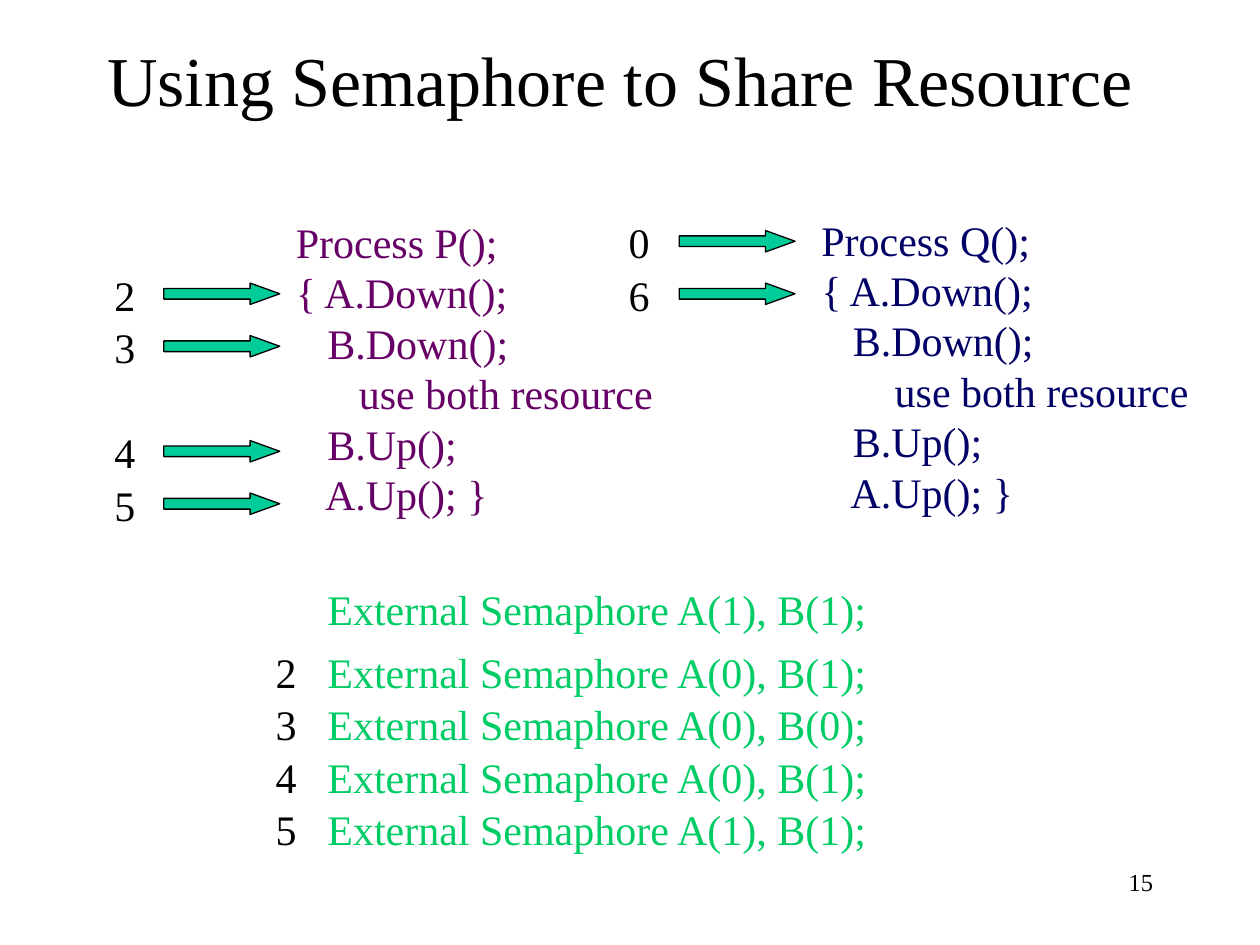
from pptx import Presentation
from pptx.dml.color import RGBColor
from pptx.enum.shapes import MSO_SHAPE
from pptx.enum.text import MSO_ANCHOR, PP_ALIGN
from pptx.util import Inches, Pt

RIGHT_ARROW = MSO_SHAPE.RIGHT_ARROW
MIDDLE = MSO_ANCHOR.MIDDLE
LEFT, CENTER, RIGHT = PP_ALIGN.LEFT, PP_ALIGN.CENTER, PP_ALIGN.RIGHT

BLACK = RGBColor(0x00, 0x00, 0x00)
PURPLE = RGBColor(0x66, 0x00, 0x66)
NAVY = RGBColor(0x00, 0x00, 0x66)
GREEN = RGBColor(0x00, 0xCC, 0x66)
TEAL = RGBColor(0x00, 0xCC, 0x99)

FONT = "Times New Roman"
STEP_TOP = 1.67
TRACE_TOP = 5.08
ROW = 1.25 / 3  # three rows of steps take 1.25 inches

prs = Presentation()
prs.slide_width, prs.slide_height = Inches(10), Inches(7.5)
s = prs.slides.add_slide(prs.slide_layouts[6])


def add_text(lines, left, top, width, height=0.5, color=BLACK, size=24,
             align=LEFT, wrap=False):
    """Add a text box with one paragraph per line and return its text frame."""
    box = s.shapes.add_textbox(Inches(left), Inches(top), Inches(width), Inches(height))
    tf = box.text_frame
    tf.word_wrap = wrap
    for i, line in enumerate(lines):
        p = tf.paragraphs[0] if i == 0 else tf.add_paragraph()
        p.alignment = align
        r = p.add_run()
        r.text = line
        for name, value in {"name": FONT, "size": Pt(size)}.items():
            setattr(r.font, name, value)
        r.font.color.rgb = color
    return tf


add_text(["15"], 7.17, 6.83, 2.08, size=14, align=RIGHT, wrap=True)
title = add_text(["Using Semaphore to Share Resource"], 0.67, 0, 8.5, 1.25,
                 size=40, align=CENTER, wrap=True)
title.vertical_anchor = MIDDLE

# The two processes: name, left, top, width, indent of the use line, colour
processes = [
    ("P", 2.25, 1.67, 3.05, 6, PURPLE),
    ("Q", 6.42, 1.65, 3.15, 7, NAVY),
]
for name, left, top, width, indent, color in processes:
    code = [
        f"Process {name}();",
        "{ A.Down();",
        "   B.Down();",
        " " * indent + "use both resource",
        "   B.Up();",
        "   A.Up(); }",
    ]
    add_text(code, left, top, width, 2.5, color)

# Numbered arrows: left of the number, left of the arrow, number by code line
steps = [
    (0.81, 1.3, {1: "2", 2: "3", 4: "4", 5: "5"}),
    (4.89, 5.39, {0: "0", 1: "6"}),
]
for number_left, arrow_left, numbers in steps:
    for row, number in numbers.items():
        top = STEP_TOP + row * ROW
        arrow = s.shapes.add_shape(RIGHT_ARROW, Inches(arrow_left), Inches(top + 0.16),
                                   Inches(0.92), Inches(0.17))
        arrow.shadow.inherit = False
        arrow.adjustments[0] = 0.5
        arrow.adjustments[1] = 1.38
        arrow.fill.solid()
        arrow.fill.fore_color.rgb = TEAL
        arrow.line.color.rgb = BLACK
        arrow.line.width = Pt(0.75)
        add_text([number], number_left, top, 0.36)

# Semaphore values at the start and after each step
add_text(["External Semaphore A(1), B(1);"], 2.5, 4.58, 4.49, color=GREEN)
trace = [("2", 0, 1), ("3", 0, 0), ("4", 0, 1), ("5", 1, 1)]
for row, (number, a, b) in enumerate(trace):
    top = TRACE_TOP + row * ROW
    add_text([f"External Semaphore A({a}), B({b});"], 2.5, top, 4.49, color=GREEN)
    add_text([number], 2.09, top, 0.36)

prs.save("out.pptx")
